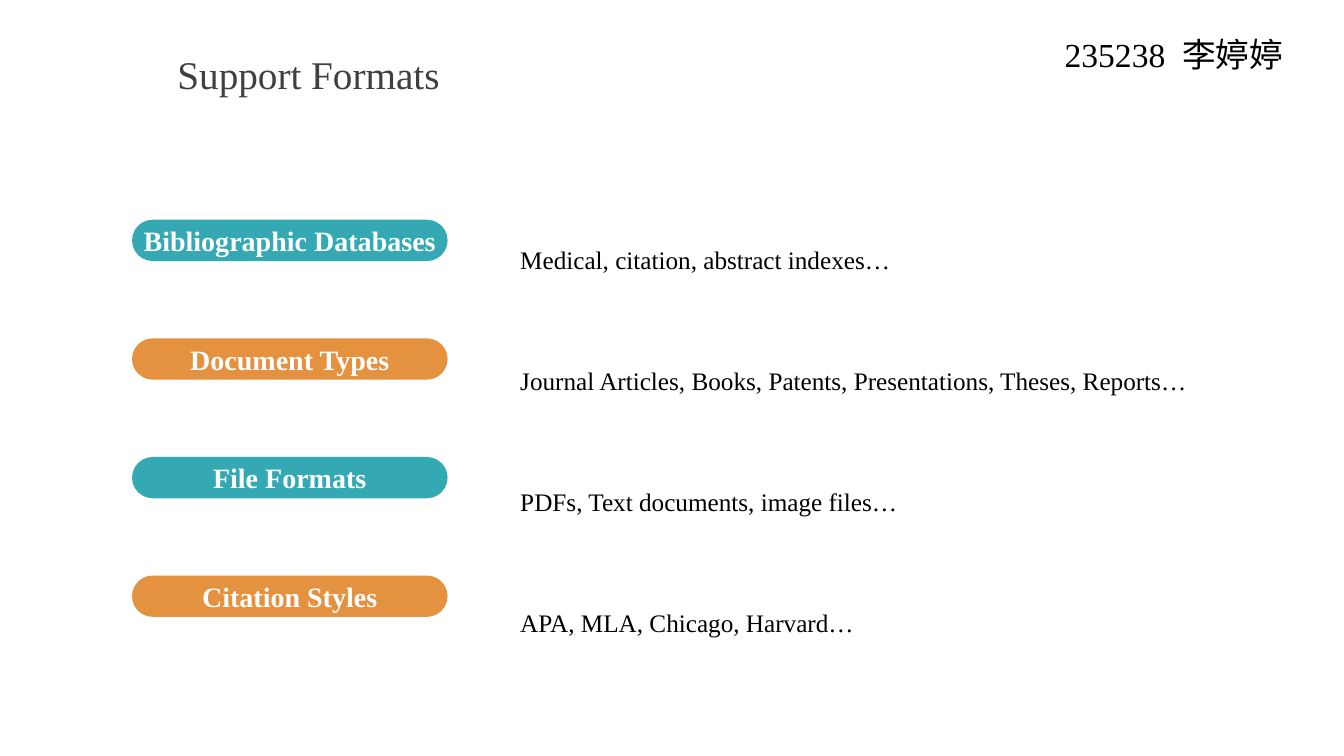
from pptx import Presentation
from pptx.dml.color import RGBColor
from pptx.enum.shapes import MSO_SHAPE as Shape
from pptx.enum.text import MSO_ANCHOR as Anchor, MSO_AUTO_SIZE as Fit, PP_ALIGN as Align
from pptx.oxml.ns import qn
from pptx.util import Inches, Pt

TITLE = "Support Formats"
AUTHOR = ["235238", " ", "李婷婷"]
ROWS = [
    ("Bibliographic Databases", "Medical, citation, abstract indexes…"),
    ("Document Types", "Journal Articles, Books, Patents, Presentations, Theses, Reports…"),
    ("File Formats", "PDFs, Text documents, image files…"),
    ("Citation Styles", "APA, MLA, Chicago, Harvard…"),
]

FONT = "Times New Roman"
TEAL = RGBColor(0x34, 0xA9, 0xB3)
ORANGE = RGBColor(0xE4, 0x91, 0x40)
WHITE = RGBColor(0xFF, 0xFF, 0xFF)
GRAY = RGBColor(0x40, 0x40, 0x40)
BLACK = RGBColor(0, 0, 0)

LEFT, WIDE, HIGH = 1.31, 3.13, 0.41
FIRST, LAST = 2.18, 5.71
STEP = (LAST - FIRST) / (len(ROWS) - 1)


def place(shape, left, top, width, height):
    shape.left, shape.top = Inches(left), Inches(top)
    shape.width, shape.height = Inches(width), Inches(height)


def style(para, size, color, align=Align.LEFT, bold=False):
    para.alignment = align
    for run in para.runs:
        font = run.font
        font.name, font.size, font.bold = FONT, Pt(size), bold
        font.color.rgb = color


def add_title(slide):
    title = slide.shapes.title
    place(title, 1.66, 0.45, 2.83, 0.57)
    frame = title.text_frame
    frame.text = TITLE
    frame.word_wrap = False
    frame.auto_size = Fit.NONE
    frame.vertical_anchor = Anchor.MIDDLE
    style(frame.paragraphs[0], 28, GRAY)


def add_list(slide):
    body = slide.placeholders[1]
    place(body, 5.06, 1.47, 6.97, 4.71)
    frame = body.text_frame
    frame.text = "\n".join(text for _, text in ROWS)
    frame.auto_size = Fit.NONE
    frame.vertical_anchor = Anchor.TOP
    for para in frame.paragraphs:
        props = para._p.get_or_add_pPr()
        props.set("marL", "0")
        props.set("indent", "0")
        props.append(props.makeelement(qn("a:buNone"), {}))
        para.line_spacing = 4.0
        para.space_before = Pt(0)
        style(para, 18, BLACK, Align.JUSTIFY)


def add_pill(slide, row, label):
    pill = slide.shapes.add_shape(Shape.ROUNDED_RECTANGLE, 0, 0, 0, 0)
    place(pill, LEFT, FIRST + row * STEP, WIDE, HIGH)
    pill.adjustments[0] = 0.5
    pill.shadow.inherit = False
    pill.fill.solid()
    pill.fill.fore_color.rgb = (TEAL, ORANGE)[row % 2]
    pill.line.fill.background()
    frame = pill.text_frame
    frame.margin_left = frame.margin_right = 0
    frame.margin_top = frame.margin_bottom = 0
    frame.word_wrap = False
    frame.vertical_anchor = Anchor.MIDDLE
    frame.text = label
    style(frame.paragraphs[0], 20, WHITE, Align.CENTER, True)


def add_author(slide):
    box = slide.shapes.add_textbox(0, 0, 0, 0)
    place(box, 10.46, 0.29, 2.45, 0.5)
    frame = box.text_frame
    frame.word_wrap = True
    para = frame.paragraphs[0]
    for part in AUTHOR:
        para.add_run().text = part
    style(para, 24, BLACK)
    para.runs[1].font._element.set("spc", "600")


def main():
    deck = Presentation()
    deck.slide_width, deck.slide_height = Inches(13.33), Inches(7.5)
    slide = deck.slides.add_slide(deck.slide_layouts[1])
    add_title(slide)
    add_list(slide)
    for row, (label, _) in enumerate(ROWS):
        add_pill(slide, row, label)
    add_author(slide)
    deck.save("out.pptx")


if __name__ == "__main__":
    main()
